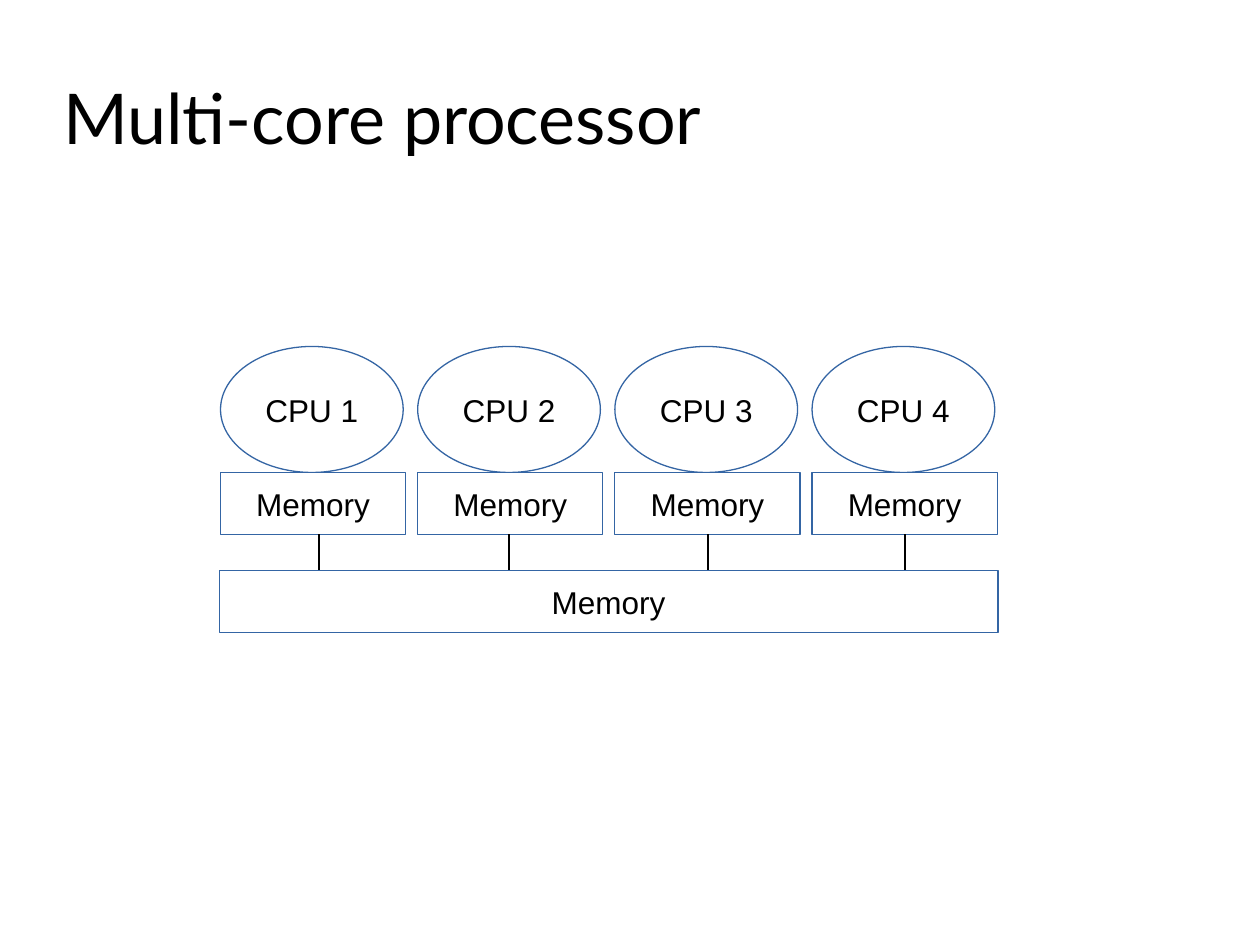
from lxml.etree import SubElement
from pptx import Presentation
from pptx.dml.color import RGBColor
from pptx.enum.shapes import MSO_CONNECTOR as Connector, MSO_SHAPE as Shape
from pptx.enum.text import MSO_ANCHOR as Anchor, PP_ALIGN as Align
from pptx.oxml.ns import qn
from pptx.util import Inches, Pt

COLORS = {"paper": "FFFFFF", "outline": "3465A4", "ink": "000000"}
CORE_LEFT = 1.75
CORE_PITCH = 1.565
CORE_TOP = 2.75
CACHE_TOP = 3.75
CACHE_HEIGHT = 0.49
SHARED_TOP = 4.53
BUS_POSITIONS = (2.53, 4.04, 5.62, 7.18)


def color(name):
    return RGBColor.from_string(COLORS[name])


def write_text(frame, text, font="Arial", size=18, align=Align.CENTER,
               margins=(0.1, 0.05), wrap=False):
    frame.word_wrap = wrap
    frame.vertical_anchor = Anchor.MIDDLE
    frame.margin_left = frame.margin_right = Inches(margins[0])
    frame.margin_top = frame.margin_bottom = Inches(margins[1])
    paragraph = frame.paragraphs[0]
    paragraph.alignment = align
    run = paragraph.add_run()
    run.text = text
    run.font.name = font
    run.font.size = Pt(size)
    run.font.color.rgb = color("ink")


def add_title(slide, text):
    title = slide.shapes.title
    title.left, title.top = Inches(0.5), Inches(0.3)
    title.width, title.height = Inches(9), Inches(1.25)
    write_text(title.text_frame, text, font="Lato", size=40,
               align=Align.LEFT, margins=(0, 0), wrap=True)


def add_unit(slide, kind, text, left, top, width, height):
    unit = slide.shapes.add_shape(
        kind, Inches(left), Inches(top), Inches(width), Inches(height))
    unit.shadow.inherit = False
    unit.fill.solid()
    unit.fill.fore_color.rgb = color("paper")
    unit.line.color.rgb = color("outline")
    unit.line.width = Pt(0)
    write_text(unit.text_frame, text)


def add_bus(slide, x):
    bus = slide.shapes.add_connector(
        Connector.STRAIGHT, Inches(x), Inches(CACHE_TOP + CACHE_HEIGHT),
        Inches(x), Inches(SHARED_TOP))
    bus.line.color.rgb = color("ink")
    bus.line.width = Pt(1)
    SubElement(bus.element.spPr, qn("a:effectLst"))


def main():
    deck = Presentation()
    deck.slide_width, deck.slide_height = Inches(10), Inches(7.5)
    slide = deck.slides.add_slide(deck.slide_layouts[5])
    add_title(slide, "Multi-core processor")
    for index, bus_x in enumerate(BUS_POSITIONS):
        left = CORE_LEFT + index * CORE_PITCH
        add_unit(slide, Shape.OVAL, f"CPU {index + 1}",
                 left, CORE_TOP, 1.45, 1)
        add_unit(slide, Shape.RECTANGLE, "Memory",
                 left, CACHE_TOP, 1.47, CACHE_HEIGHT)
        add_bus(slide, bus_x)
    add_unit(slide, Shape.RECTANGLE, "Memory", 1.74, SHARED_TOP, 6.18, 0.49)
    deck.save("out.pptx")


if __name__ == "__main__":
    main()
